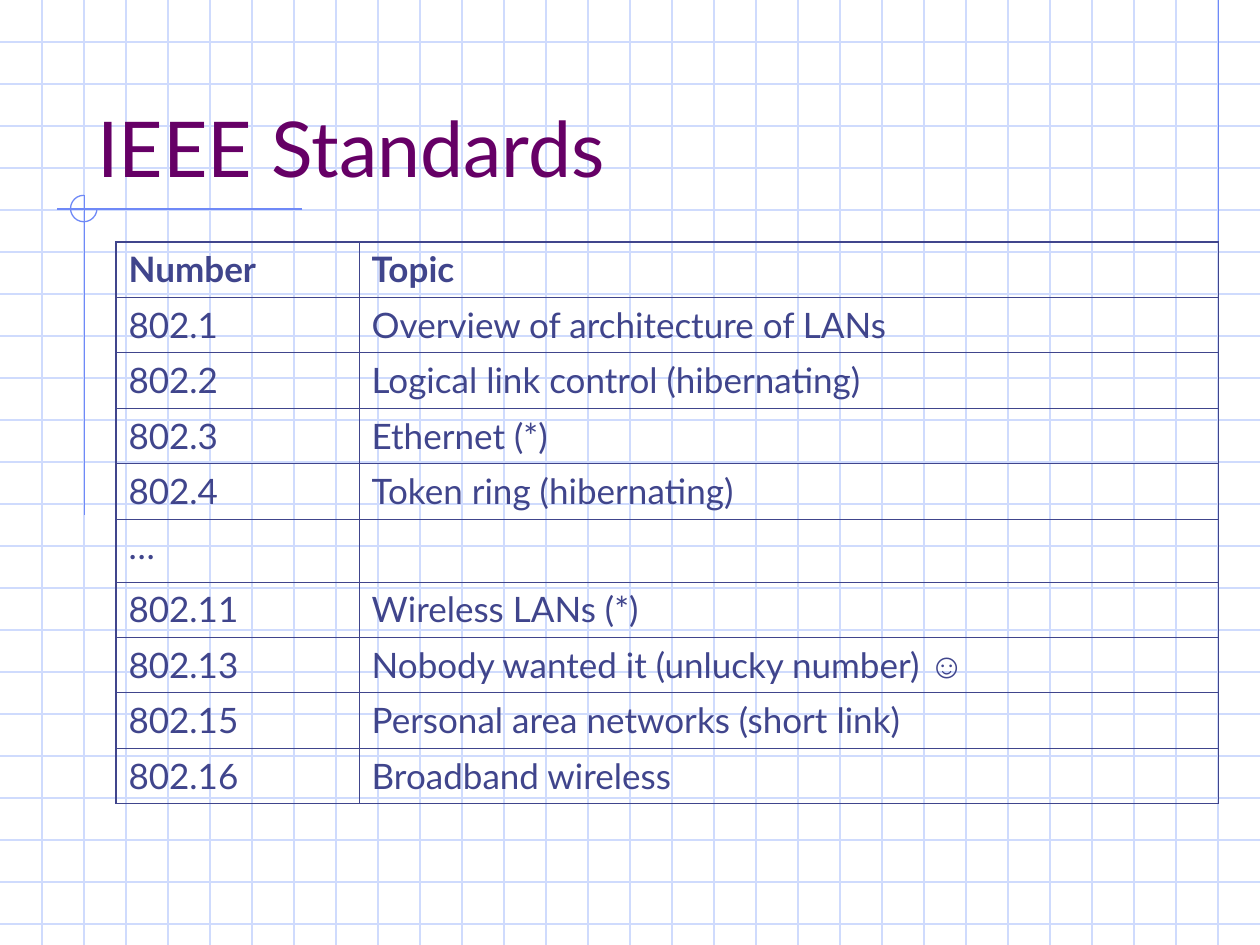
from lxml import etree
from pptx import Presentation
from pptx import util as u
from pptx.dml.color import RGBColor
from pptx.enum import shapes, text
from pptx.oxml import ns

GRID = RGBColor(0xCF, 0xDB, 0xFD)
ACCENT = RGBColor(0x6F, 0x89, 0xF7)
PURPLE = RGBColor(0x66, 0x00, 0x66)
INDIGO = RGBColor(0x40, 0x45, 0x8C)
FONT = "Lato"
WIDTH, HEIGHT = 10, 7.5
GRID_STEP = 1 / 3
OUTER, INNER = 1.08, 0.45  # table border widths in points

STANDARDS = [
    ("Number", "Topic"),
    ("802.1", "Overview of architecture of LANs"),
    ("802.2", "Logical link control (hibernating)"),
    ("802.3", "Ethernet (*)"),
    ("802.4", "Token ring (hibernating)"),
    ("…", ""),
    ("802.11", "Wireless LANs (*)"),
    ("802.13", "Nobody wanted it (unlucky number) ☺"),
    ("802.15", "Personal area networks (short link)"),
    ("802.16", "Broadband wireless"),
]


def add_line(page, x1, y1, x2, y2, color):
    line = page.shapes.add_connector(
        shapes.MSO_CONNECTOR.STRAIGHT,
        u.Inches(x1), u.Inches(y1), u.Inches(x2), u.Inches(y2))
    line.line.color.rgb = color
    line.line.width = u.Pt(0.75)
    etree.SubElement(line._element.spPr, ns.qn("a:effectLst"))


def add_grid(page):
    for row in range(1, 23):
        add_line(page, 0, row * GRID_STEP, WIDTH, row * GRID_STEP, GRID)
    for column in range(1, 30):
        add_line(page, column * GRID_STEP, 0, column * GRID_STEP, HEIGHT, GRID)


def add_accents(page):
    add_line(page, 9.67, 0, 9.67, 2.58, ACCENT)
    add_line(page, 2.4, 1.66, 0.45, 1.66, ACCENT)
    add_line(page, 0.67, 1.55, 0.67, 4.09, ACCENT)
    # Three quarters of a circle, open at the top right
    arc = page.shapes.add_shape(
        shapes.MSO_SHAPE.ARC,
        u.Inches(0.56), u.Inches(1.55), u.Inches(0.21), u.Inches(0.21))
    arc.adjustments[0] = 0
    arc.adjustments[1] = 162
    arc.shadow.inherit = False
    arc.fill.background()
    arc.line.color.rgb = ACCENT
    arc.line.width = u.Pt(0.75)


def style_font(font, size, color, bold=False):
    font.name = FONT
    font.size = u.Pt(size)
    font.color.rgb = color
    font.bold = bold


def add_title(page, words):
    title = page.shapes.title
    title.left, title.top = u.Inches(0.67), u.Inches(0.33)
    title.width, title.height = u.Inches(8.5), u.Inches(1.25)
    frame = title.text_frame
    frame.text = words
    frame.word_wrap = True
    frame.auto_size = text.MSO_AUTO_SIZE.NONE
    frame.vertical_anchor = text.MSO_ANCHOR.BOTTOM
    para = frame.paragraphs[0]
    para.alignment = text.PP_ALIGN.LEFT
    style_font(para.font, 44, PURPLE)
    # Bring the title in front of the grid
    page.shapes._spTree.append(title._element)


def set_borders(cell, widths):
    properties = cell._tc.get_or_add_tcPr()
    for index, (side, width) in enumerate(widths.items()):
        border = etree.Element(ns.qn(f"a:ln{side}"), w=str(u.Pt(width)))
        fill = etree.SubElement(border, ns.qn("a:solidFill"))
        etree.SubElement(fill, ns.qn("a:srgbClr"), val=str(INDIGO))
        properties.insert(index, border)


def fill_cell(cell, words, bold):
    cell.fill.background()
    para = cell.text_frame.paragraphs[0]
    style_font(para.font, 20, INDIGO, bold)
    before, smiley, _ = words.partition("☺")
    if before:
        para.add_run().text = before
    if smiley:
        span = para.add_run()
        span.text = smiley
        span.font.name = "Arial"


def add_standards_table(page):
    last = len(STANDARDS) - 1
    table = page.shapes.add_table(
        len(STANDARDS), 2,
        u.Inches(0.92), u.Inches(1.92), u.Inches(8.75), u.Inches(4.5)).table
    table.first_row = table.horz_banding = False
    table.columns[0].width = u.Inches(1.93)
    table.columns[1].width = u.Inches(6.82)
    for r, entry in enumerate(STANDARDS):
        # The row that stands for the omitted standards is taller
        table.rows[r].height = u.Inches(0.44 if entry[1] else 0.5)
        for c, words in enumerate(entry):
            cell = table.cell(r, c)
            fill_cell(cell, words, bold=r == 0)
            set_borders(cell, {
                "L": OUTER if c == 0 else INNER,
                "R": OUTER if c == 1 else INNER,
                "T": OUTER if r == 0 else INNER,
                "B": OUTER if r == last else INNER,
            })


def main():
    deck = Presentation()
    deck.slide_width, deck.slide_height = u.Inches(WIDTH), u.Inches(HEIGHT)
    page = deck.slides.add_slide(deck.slide_layouts[5])
    # Background
    add_grid(page)
    add_accents(page)
    # Content
    add_title(page, "IEEE Standards")
    add_standards_table(page)
    deck.save("out.pptx")


if __name__ == "__main__":
    main()
